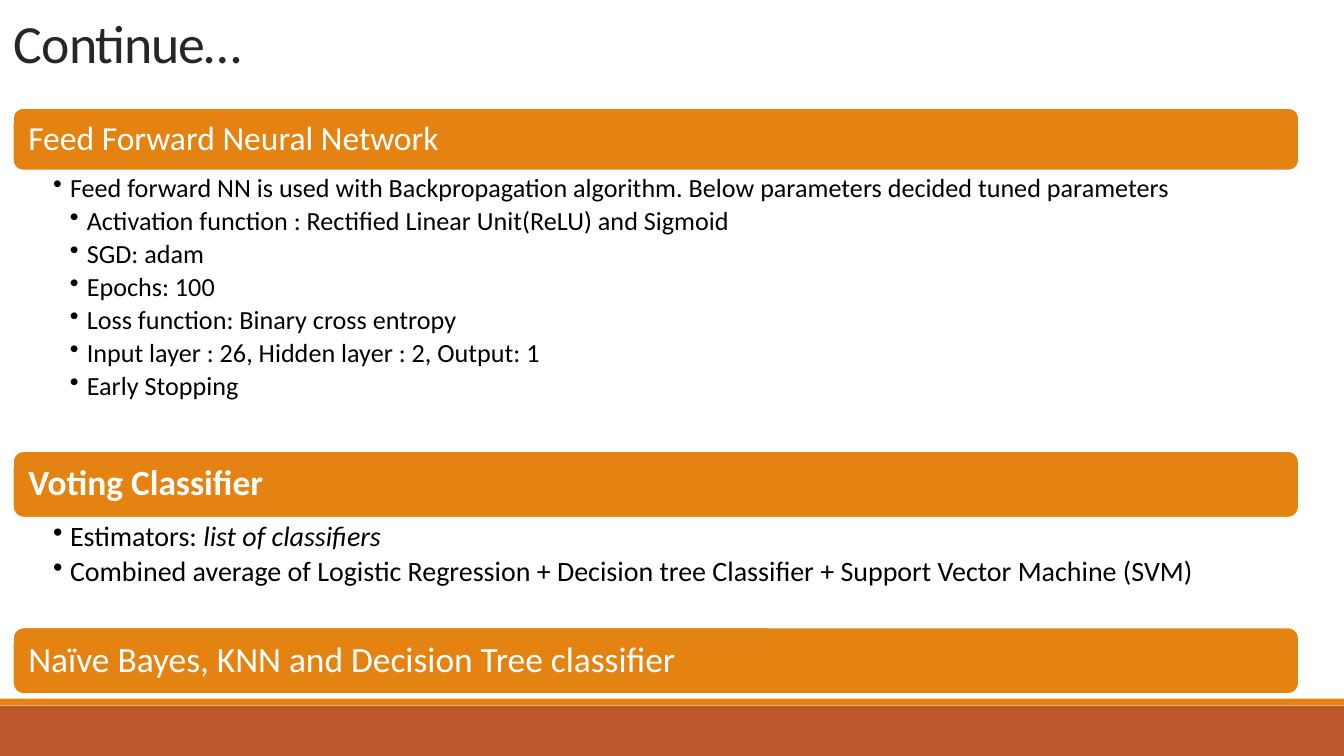
from lxml import etree
from pptx import Presentation
from pptx.dml.color import RGBColor
from pptx.enum.shapes import MSO_SHAPE as SHAPE
from pptx.enum.text import MSO_ANCHOR as ANCHOR, PP_ALIGN as ALIGN
from pptx.oxml.ns import qn
from pptx.util import Emu, Pt

EMU_PER_PX = 9525
SLIDE_W, SLIDE_H = 960, 540
LEFT, WIDTH = 9, 919
HANG = 12

ORANGE = RGBColor(0xE4, 0x83, 0x12)
RUST = RGBColor(0xBD, 0x58, 0x2C)
WHITE = RGBColor(0xFF, 0xFF, 0xFF)
BLACK = RGBColor(0, 0, 0)
CHARCOAL = RGBColor(0x26, 0x26, 0x26)

NETWORK_POINTS = [
    (1, "Feed forward NN is used with Backpropagation algorithm. "
        "Below parameters decided tuned parameters"),
    (2, "Activation function : Rectified Linear Unit(ReLU) and Sigmoid"),
    (2, "SGD: adam"),
    (2, "Epochs: 100"),
    (2, "Loss function: Binary cross entropy"),
    (2, "Input layer : 26, Hidden layer : 2, Output: 1"),
    (2, "Early Stopping"),
]
VOTING_POINTS = [
    (1, "Estimators: ", "list of classifiers"),
    (1, "Combined average of Logistic Regression + Decision tree Classifier"
        " + Support Vector Machine (SVM)"),
]


def px(n):
    return Emu(n * EMU_PER_PX)


def add_run(p, text, size, color, bold=False, italic=False, spacing=None):
    r = p.add_run()
    r.text = text
    font = r.font
    font.name, font.size = "Calibri", Pt(size)
    font.color.rgb = color
    font.bold, font.italic = bold, italic
    if spacing is not None:
        r._r.get_or_add_rPr().set("spc", str(spacing))


def set_frame(tf, anchor, left, top, right, bottom):
    tf.word_wrap = True
    tf.vertical_anchor = anchor
    tf.margin_left, tf.margin_top = px(left), px(top)
    tf.margin_right, tf.margin_bottom = px(right), px(bottom)


def set_bullet(p, level):
    p.level = level
    pPr = p._p.get_or_add_pPr()
    pPr.set("marL", str(px(HANG * level)))
    pPr.set("indent", str(px(-HANG)))
    etree.SubElement(pPr, qn("a:buChar")).set("char", "•")


def add_box(s, kind, left, top, width, height, fill):
    sp = s.shapes.add_shape(kind, px(left), px(top), px(width), px(height))
    sp.shadow.inherit = False
    sp.fill.solid()
    sp.fill.fore_color.rgb = fill
    sp.line.fill.background()
    return sp


def add_title(s, text):
    tf = s.shapes.add_textbox(px(0), px(12), px(859), px(44)).text_frame
    set_frame(tf, ANCHOR.BOTTOM, 10, 5, 10, 5)
    p = tf.paragraphs[0]
    p.line_spacing = 0.65
    add_run(p, text, 28.8, CHARCOAL, spacing=-50)


def add_banner(s, top, height, text, size, bold=False):
    sp = add_box(s, SHAPE.ROUNDED_RECTANGLE, LEFT, top, WIDTH, height, ORANGE)
    sp.line.color.rgb = WHITE
    sp.line.width = Pt(1.25)
    set_frame(sp.text_frame, ANCHOR.MIDDLE, 9, 7, 9, 7)
    p = sp.text_frame.paragraphs[0]
    p.alignment = ALIGN.LEFT
    p.line_spacing = 0.9
    add_run(p, text, size, WHITE, bold=bold)


def add_points(s, top, height, points, size):
    """Bulleted list; each point is a level, plain text and optional italic text."""
    tf = s.shapes.add_textbox(px(LEFT), px(top), px(WIDTH), px(height)).text_frame
    set_frame(tf, ANCHOR.TOP, 29, 3, 14, 3)
    for i, (level, plain, *italics) in enumerate(points):
        p = tf.add_paragraph() if i else tf.paragraphs[0]
        p.line_spacing = 0.9
        p.space_after = Pt(size * 0.18)
        set_bullet(p, level)
        add_run(p, plain, size, BLACK)
        for text in italics:
            add_run(p, text, size, BLACK, italic=True)


def main():
    prs = Presentation()
    prs.slide_width, prs.slide_height = px(SLIDE_W), px(SLIDE_H)
    s = prs.slides.add_slide(prs.slide_layouts[6])

    add_box(s, SHAPE.RECTANGLE, 0, 504, SLIDE_W, 36, RUST)
    add_box(s, SHAPE.RECTANGLE, 0, 499, SLIDE_W, 5, ORANGE)
    add_title(s, "Continue…")

    add_banner(s, 77, 45, "Feed Forward Neural Network", 18)
    add_points(s, 122, 176, NETWORK_POINTS, 14)
    add_banner(s, 322, 48, "Voting Classifier", 19, bold=True)
    add_points(s, 370, 117, VOTING_POINTS, 15)
    add_banner(s, 448, 48, "Naïve Bayes, KNN and Decision Tree classifier", 19)

    prs.save("out.pptx")


if __name__ == "__main__":
    main()
